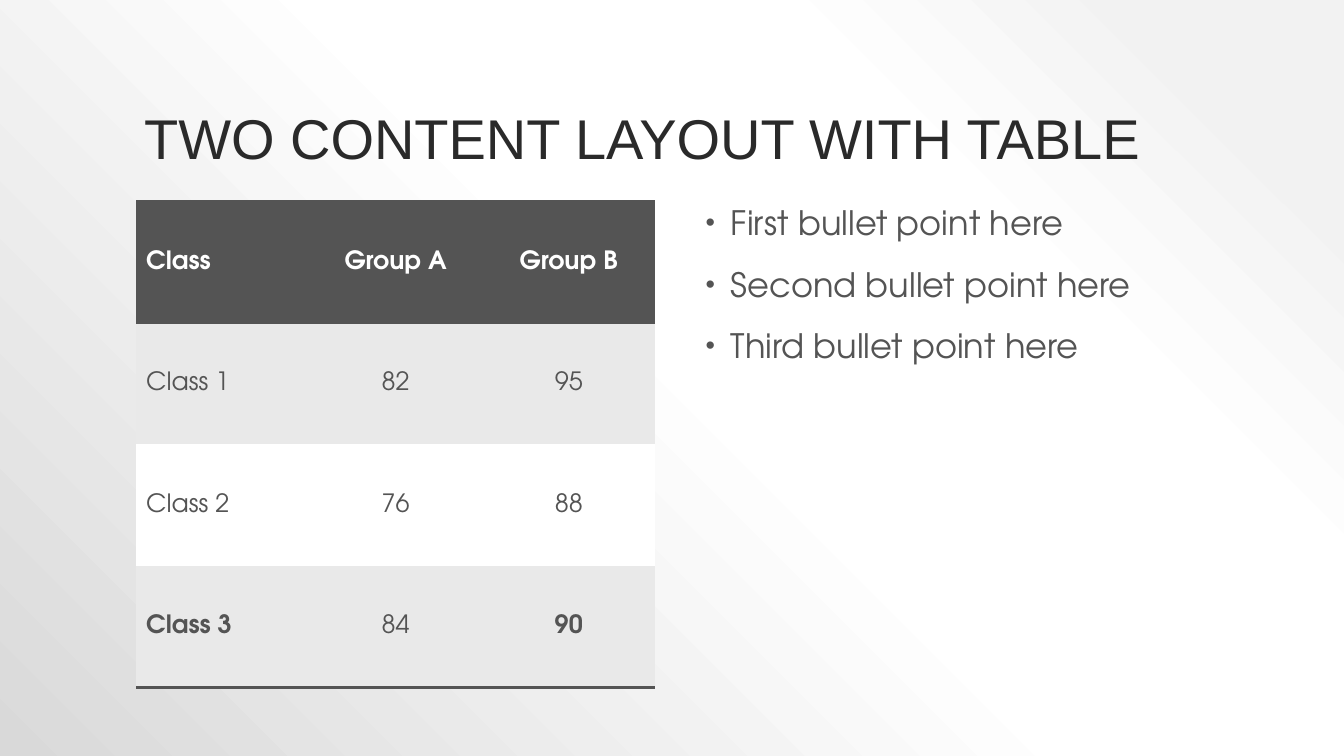
from lxml import etree
from pptx import Presentation
from pptx.dml.color import RGBColor
from pptx.enum import text as tx
from pptx.oxml import parse_xml
from pptx.oxml.ns import nsdecls, qn
from pptx.util import Inches, Pt

TITLE = "TWO CONTENT LAYOUT WITH TABLE"
ROWS = [
    ("Class", "Group A", "Group B"),
    ("Class 1", "82", "95"),
    ("Class 2", "76", "88"),
    ("Class 3", "84", "90"),
]
BOLD = {"Class 3", "90", *ROWS[0]}
POINTS = ["First bullet point here", "Second bullet point here",
          "Third bullet point here"]
COLORS = {"title": "2A2A2A", "dark": "545454", "band": "E9E9E9",
          "white": "FFFFFF"}
GLOW = [(10, "F2F2F2"), (28, "FFFFFF"), (48, "FFFFFF"), (100, "D9D9D9")]
HEAD, BODY = "Arial", "TeX Gyre Adventor"


def rgb(name):
    return RGBColor.from_string(COLORS[name])


def style(para, font, size, color, bold=False):
    for run in para.runs:
        run.font.name, run.font.size, run.font.bold = font, Pt(size), bold
        run.font.color.rgb = rgb(color)


def paint_back(slide):
    """Fill the background with a round gradient from the top right."""
    slide.background.fill.solid()
    props = slide.element.find(".//" + qn("p:bgPr"))
    stops = "".join(f'<a:gs pos="{pos * 1000}"><a:srgbClr val="{color}"/></a:gs>'
                    for pos, color in GLOW)
    grad = parse_xml(
        f'<a:gradFill {nsdecls("a")} rotWithShape="1"><a:gsLst>{stops}</a:gsLst>'
        '<a:path path="circle"><a:fillToRect l="100000" b="100000"/></a:path>'
        '</a:gradFill>')
    props.replace(props[0], grad)


def add_title(slide):
    title = slide.shapes.title
    title.left, title.top = Inches(1.33), Inches(0.3)
    title.width, title.height = Inches(10.67), Inches(1.45)
    frame = title.text_frame
    frame.text = TITLE
    frame.word_wrap = True
    frame.vertical_anchor = tx.MSO_ANCHOR.BOTTOM
    para = frame.paragraphs[0]
    para.alignment, para.line_spacing = tx.PP_ALIGN.LEFT, 0.9
    style(para, HEAD, 40, "title")


def add_rule(cell, side):
    props = cell._tc.get_or_add_tcPr()
    props.append(parse_xml(
        f'<a:{side} {nsdecls("a")} w="25400"><a:solidFill>'
        f'<a:srgbClr val="{COLORS["dark"]}"/></a:solidFill></a:{side}>'))


def add_grid(slide):
    table = slide.shapes.add_table(
        len(ROWS), len(ROWS[0]), Inches(1.35), Inches(2),
        Inches(5.15), Inches(4.82)).table
    table.first_row = table.horz_banding = False
    plain = "{2D5ABB26-0587-4C30-8999-92F81FD0307C}"
    table._tbl.tblPr.find(qn("a:tableStyleId")).text = plain
    last = len(ROWS) - 1
    for i, row in enumerate(ROWS):
        fill = "dark" if i == 0 else "band" if i % 2 else "white"
        for j, word in enumerate(row):
            cell = table.cell(i, j)
            cell.text = word
            cell.vertical_anchor = tx.MSO_ANCHOR.MIDDLE
            if i == 0:
                add_rule(cell, "lnT")
            if i in (0, last):
                add_rule(cell, "lnB")
            cell.fill.solid()
            cell.fill.fore_color.rgb = rgb(fill)
            para = cell.text_frame.paragraphs[0]
            para.alignment = tx.PP_ALIGN.CENTER if j else tx.PP_ALIGN.LEFT
            style(para, BODY, 18, "dark" if i else "white", word in BOLD)


def add_points(slide):
    frame = slide.shapes.add_textbox(
        Inches(6.85), Inches(2), Inches(5.15), Inches(4.75)).text_frame
    frame.word_wrap = True
    frame.text = "\n".join(POINTS)
    for para in frame.paragraphs:
        para.line_spacing, para.space_before = 0.9, Pt(18)
        style(para, BODY, 24, "dark")
        props = para._p.get_or_add_pPr()
        props.set("marL", str(Inches(0.3)))
        props.set("indent", str(Inches(-0.25)))
        color = etree.SubElement(props, qn("a:buClr"))
        etree.SubElement(color, qn("a:srgbClr"), val=COLORS["dark"])
        etree.SubElement(props, qn("a:buSzPct"), val="80000")
        etree.SubElement(props, qn("a:buFont"), typeface="Arial")
        etree.SubElement(props, qn("a:buChar"), char="•")


def main():
    deck = Presentation()
    deck.slide_width, deck.slide_height = Inches(13.33), Inches(7.5)
    slide = deck.slides.add_slide(deck.slide_layouts[5])
    paint_back(slide)
    add_title(slide)
    add_grid(slide)
    add_points(slide)
    deck.save("out.pptx")


if __name__ == "__main__":
    main()
